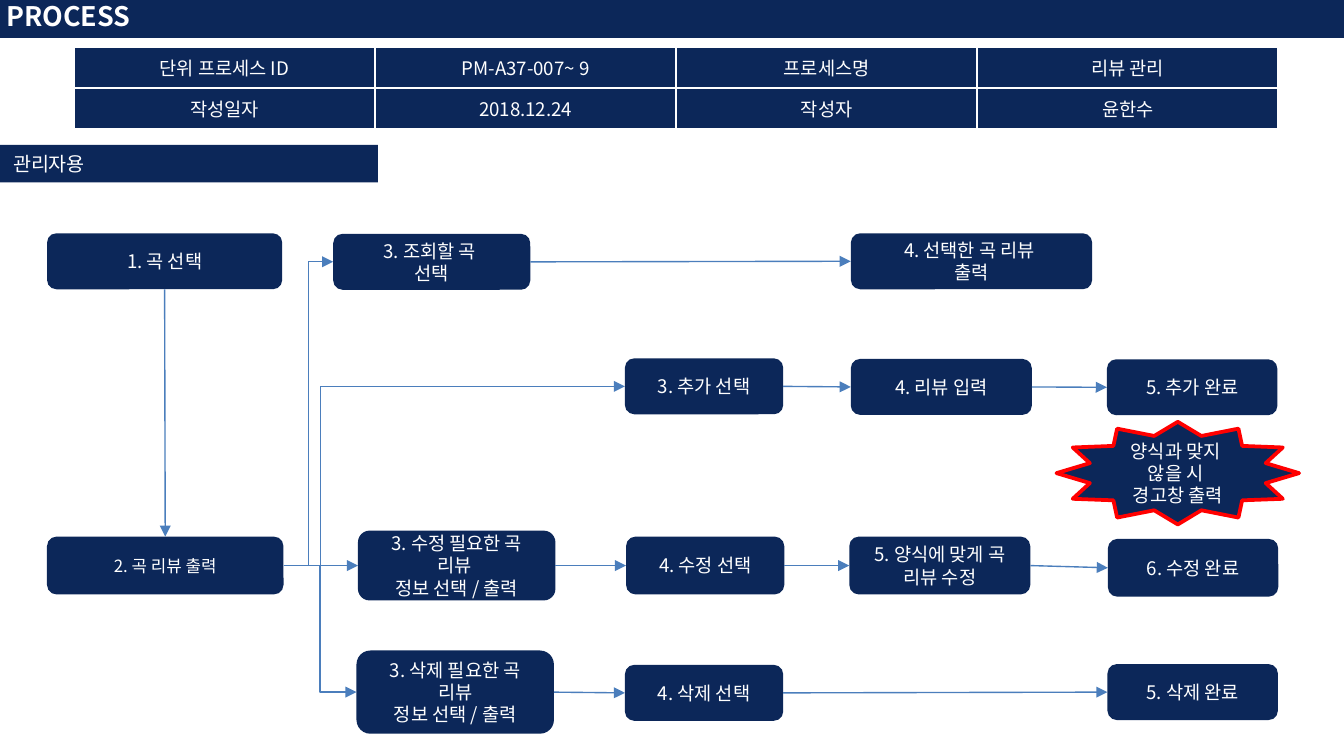
from lxml.etree import SubElement
from pptx import Presentation
from pptx.dml.color import RGBColor
from pptx.enum.shapes import MSO_CONNECTOR, MSO_SHAPE
from pptx.enum.text import MSO_ANCHOR, PP_ALIGN
from pptx.oxml.ns import qn
from pptx.util import Pt

FONT = "Noto Sans CJK KR"
COLORS = {"navy": "0C2759", "white": "FFFFFF", "red": "FF0000", "arrow": "4B7EBC"}
LEFT, RIGHT, TOP, BOTTOM = 1, 3, 0, 2

INFO = [
    ["단위 프로세스 ID", "PM-A37-007~ 9", "프로세스명", "리뷰 관리"],
    ["작성일자", "2018.12.24", "작성자", "윤한수"],
]

# key: (lines, left, middle, width, height, size)
STEPS = {
    "song": (["1. 곡 선택"], 25.2, 140, 126, 30, 10),
    "reviews": (["2. 곡 리뷰 출력"], 25.2, 303, 126.7, 31, 9),
    "view": (["3. 조회할 곡 ", "선택"], 178.5, 140.3, 105.6, 30, 10),
    "view_out": (["4. 선택한 곡 리뷰 ", "출력"], 455.8, 140, 129.3, 30, 10),
    "add": (["3. 추가 선택"], 334.8, 207, 84.8, 30, 10),
    "add_input": (["4. 리뷰 입력"], 455.8, 207.3, 97, 30, 10),
    "add_done": (["5. 추가 완료"], 593, 207.5, 91.3, 30, 10),
    "edit_find": (["3. 수정 필요한 곡 리뷰 ", "정보 선택 / 출력"], 191.8, 303, 105.8, 37.4, 10),
    "edit_input": (["5. 양식에 맞게 곡 리뷰 수정"], 455, 303, 97, 31, 10),
    "edit_done": (["6. 수정 완료"], 593.5, 304.2, 91.3, 31, 10),
    "edit": (["4. 수정 선택"], 335.4, 303, 84.8, 31, 10),
    "del_find": (["3. 삭제 필요한 곡 리뷰", "정보 선택 / 출력"], 191, 370.8, 105.8, 44.6, 10),
    "del_done": (["5. 삭제 완료"], 593.3, 370.8, 91.3, 30, 10),
    "del": (["4. 삭제 선택"], 334.8, 371.2, 84.8, 30, 10),
}

STRAIGHT = [
    ("reviews", "edit_find"), ("view", "view_out"), ("add", "add_input"),
    ("add_input", "add_done"), ("edit_find", "edit"), ("edit", "edit_input"),
    ("del_find", "del"), ("edit_input", "edit_done"), ("del", "del_done"),
]
BRANCHES = [("view", 50000), ("del_find", 50000), ("add", 10900)]


def rgb(name):
    """Return the palette colour called name."""
    return RGBColor.from_string(COLORS[name])


def add_run(p, text, size, bold=False):
    """Add a white run to a paragraph."""
    r = p.add_run()
    r.text = text
    r.font.name = FONT
    r.font.size = Pt(size)
    r.font.bold = bold
    r.font.color.rgb = rgb("white")
    SubElement(r._r.get_or_add_rPr(), qn("a:ea"), typeface=FONT)


def add_block(s, kind, left, top, width, height, lines, size,
              align=PP_ALIGN.CENTER, anchor=MSO_ANCHOR.MIDDLE, bold=False):
    """Add a navy shape with one paragraph for each line."""
    sp = s.shapes.add_shape(kind, Pt(left), Pt(top), Pt(width), Pt(height))
    sp.shadow.inherit = False
    sp.fill.solid()
    sp.fill.fore_color.rgb = rgb("navy")
    sp.line.fill.background()
    tf = sp.text_frame
    tf.word_wrap = True
    tf.vertical_anchor = anchor
    for i, line in enumerate(lines):
        p = tf.add_paragraph() if i else tf.paragraphs[0]
        p.alignment = align
        p.line_spacing = Pt(size * 1.2)
        for j, part in enumerate(line.split("\n")):
            if j:
                p.add_line_break()
            add_run(p, part, size, bold)
    return sp


def add_step(s, lines, left, middle, width, height, size):
    """Add a rounded process step centred on its row."""
    return add_block(s, MSO_SHAPE.ROUNDED_RECTANGLE, left, middle - height / 2,
                     width, height, lines, size)


def add_warning(s):
    """Add the red-edged warning star."""
    sp = add_block(s, MSO_SHAPE.STAR_12_POINT, 566, 226, 130, 55,
                   ["양식과 맞지 \n않을 시 \n경고창 출력"], 10)
    sp.line.color.rgb = rgb("red")
    sp.line.width = Pt(2)
    tf = sp.text_frame
    tf.margin_left = tf.margin_right = tf.margin_top = tf.margin_bottom = 0


def add_info_table(s):
    """Add the table of process details."""
    table = s.shapes.add_table(2, 4, Pt(39.6), Pt(25.5), Pt(645.2), Pt(43.4)).table
    for row, texts in zip(table.rows, INFO):
        for cell, text in zip(row.cells, texts):
            for side in ("lnL", "lnR", "lnT", "lnB"):
                ln = SubElement(cell._tc.get_or_add_tcPr(), qn(f"a:{side}"), w=str(Pt(1)))
                fill = SubElement(ln, qn("a:solidFill"))
                SubElement(fill, qn("a:srgbClr"), val=COLORS["white"])
            cell.fill.solid()
            cell.fill.fore_color.rgb = rgb("navy")
            cell.vertical_anchor = MSO_ANCHOR.MIDDLE
            p = cell.text_frame.paragraphs[0]
            p.alignment = PP_ALIGN.CENTER
            add_run(p, text, 10)


def add_arrow(s, start, end, sites=(RIGHT, LEFT), bend=None):
    """Connect two steps, with an elbow when a bend is given."""
    kind = MSO_CONNECTOR.ELBOW if bend else MSO_CONNECTOR.STRAIGHT
    c = s.shapes.add_connector(kind, 0, 0, 0, 0)
    c.begin_connect(start, sites[0])
    c.end_connect(end, sites[1])
    c.line.color.rgb = rgb("arrow")
    c.line.width = Pt(0.75)
    sp_pr = c._element.spPr
    SubElement(sp_pr.find(qn("a:ln")), qn("a:tailEnd"), type="triangle")
    SubElement(sp_pr, qn("a:effectLst"))
    if bend:
        guides = sp_pr.find(qn("a:prstGeom")).find(qn("a:avLst"))
        SubElement(guides, qn("a:gd"), name="adj1", fmla=f"val {bend}")


def main():
    """Build the review management process slide."""
    prs = Presentation()
    prs.slide_width, prs.slide_height = Pt(720), Pt(405)
    s = prs.slides.add_slide(prs.slide_layouts[6])
    add_info_table(s)
    title = add_block(s, MSO_SHAPE.RECTANGLE, -3, -3, 723, 23.3, ["PROCESS"], 14.4,
                      PP_ALIGN.LEFT, bold=True)
    title.text_frame.margin_left = Pt(6.5)
    add_block(s, MSO_SHAPE.RECTANGLE, 0, 77.7, 202.5, 20, ["관리자용"], 10.5,
              PP_ALIGN.LEFT, MSO_ANCHOR.TOP)
    steps = {key: add_step(s, *step) for key, step in STEPS.items()}
    add_warning(s)
    add_arrow(s, steps["song"], steps["reviews"], (BOTTOM, TOP))
    for key, bend in BRANCHES:
        add_arrow(s, steps["reviews"], steps[key], bend=bend)
    for start, end in STRAIGHT:
        add_arrow(s, steps[start], steps[end])
    prs.save("out.pptx")


if __name__ == "__main__":
    main()
